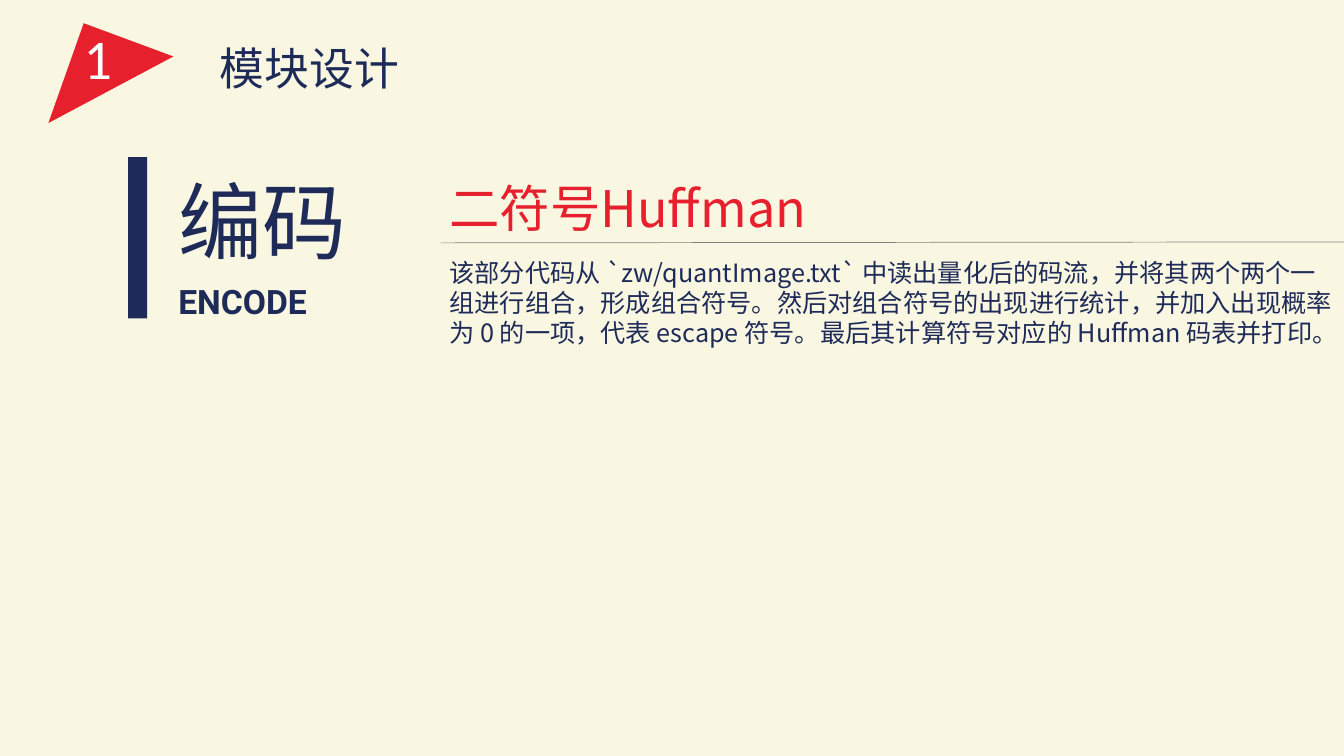
from lxml.etree import SubElement
from pptx import Presentation
from pptx.dml.color import RGBColor
from pptx.enum.shapes import MSO_CONNECTOR, MSO_SHAPE
from pptx.enum.text import MSO_AUTO_SIZE
from pptx.oxml.ns import qn
from pptx.util import Inches, Pt

NAVY, RED, CREAM, GRAY, WHITE = "1E2B58", "E6202D", "F9F7E2", "808080", "FFFFFF"
HAN, LATIN, DIGIT = "Noto Sans CJK SC", "Roboto", "Calibri"


def paint(target, color):
    target.solid()
    target.fore_color.rgb = RGBColor.from_string(color)


class Page:
    def __init__(self, deck):
        self.wide, self.high = deck.slide_width, deck.slide_height
        self.slide = deck.slides.add_slide(deck.slide_layouts[6])
        self.shapes = self.slide.shapes
        paint(self.slide.background.fill, CREAM)

    def spot(self, x, y):
        return round(self.wide * x / 100), round(self.high * y / 100)

    def fill(self, shape, color):
        paint(shape.fill, color)
        shape.line.fill.background()
        shape.shadow.inherit = False

    def bar(self, x, y, w, h, color):
        box = *self.spot(x, y), *self.spot(w, h)
        self.fill(self.shapes.add_shape(MSO_SHAPE.RECTANGLE, *box), color)

    def shard(self, points, color):
        first, *rest = [self.spot(*point) for point in points]
        builder = self.shapes.build_freeform(*first)
        builder.add_line_segments(rest, close=True)
        self.fill(builder.convert_to_shape(), color)

    def rule(self, start, end, color):
        line = self.shapes.add_connector(
            MSO_CONNECTOR.STRAIGHT, *self.spot(*start), *self.spot(*end))
        line.line.width = Pt(0.5)
        paint(line.line.fill, color)
        SubElement(line._element.spPr, qn("a:effectLst"))

    def text(self, x, y, w, h, words, size, color=NAVY, face=HAN):
        box = self.shapes.add_textbox(*self.spot(x, y), *self.spot(w, h))
        frame = box.text_frame
        frame.word_wrap = True
        frame.auto_size = MSO_AUTO_SIZE.NONE
        if face == HAN:
            frame.margin_top = Inches(0.05) + Pt(0.09 * size)
        self.style(frame.paragraphs[0], words, size, color, face)
        return frame

    def style(self, para, words, size, color, face, bold=False):
        para.text = words
        para.line_spacing = Pt(1.2 * size)
        font = para.font
        font.size, font.name, font.bold = Pt(size), face, bold
        font.color.rgb = RGBColor.from_string(color)
        SubElement(font._element, qn("a:ea"), typeface=face)


def main():
    deck = Presentation()
    deck.slide_width, deck.slide_height = Inches(13.33), Inches(7.5)
    page = Page(deck)

    page.text(15.6, 4.13, 15.2, 8.53, "模块设计", 32)
    page.shard([(6.23, 3.07), (12.9, 7.47), (3.6, 16.27)], RED)
    page.text(5.48, 2.4, 4.05, 10.27, "1", 40, WHITE, DIGIT)

    page.text(32.7, 22.13, 30.83, 9.47, "二符号Huffman", 36, RED)
    page.rule((32.78, 32.13), (100, 32), GRAY)

    name = page.text(12.53, 20.8, 20.18, 22.4, "编码", 60)
    label = name.add_paragraph()
    page.style(label, "ENCODE", 24, NAVY, LATIN, bold=True)
    label.space_before = Pt(7)
    page.bar(9.53, 20.8, 1.43, 21.33, NAVY)

    page.text(
        32.7, 33.07, 67.3, 13.47,
        "该部分代码从 `zw/quantImage.txt` 中读出量化后的码流，"
        "并将其两个两个一组进行组合，形成组合符号。"
        "然后对组合符号的出现进行统计，并加入出现概率为 0 的一项，"
        "代表 escape 符号。最后其计算符号对应的 Huffman 码表并打印。", 18)

    deck.save("out.pptx")


if __name__ == "__main__":
    main()
